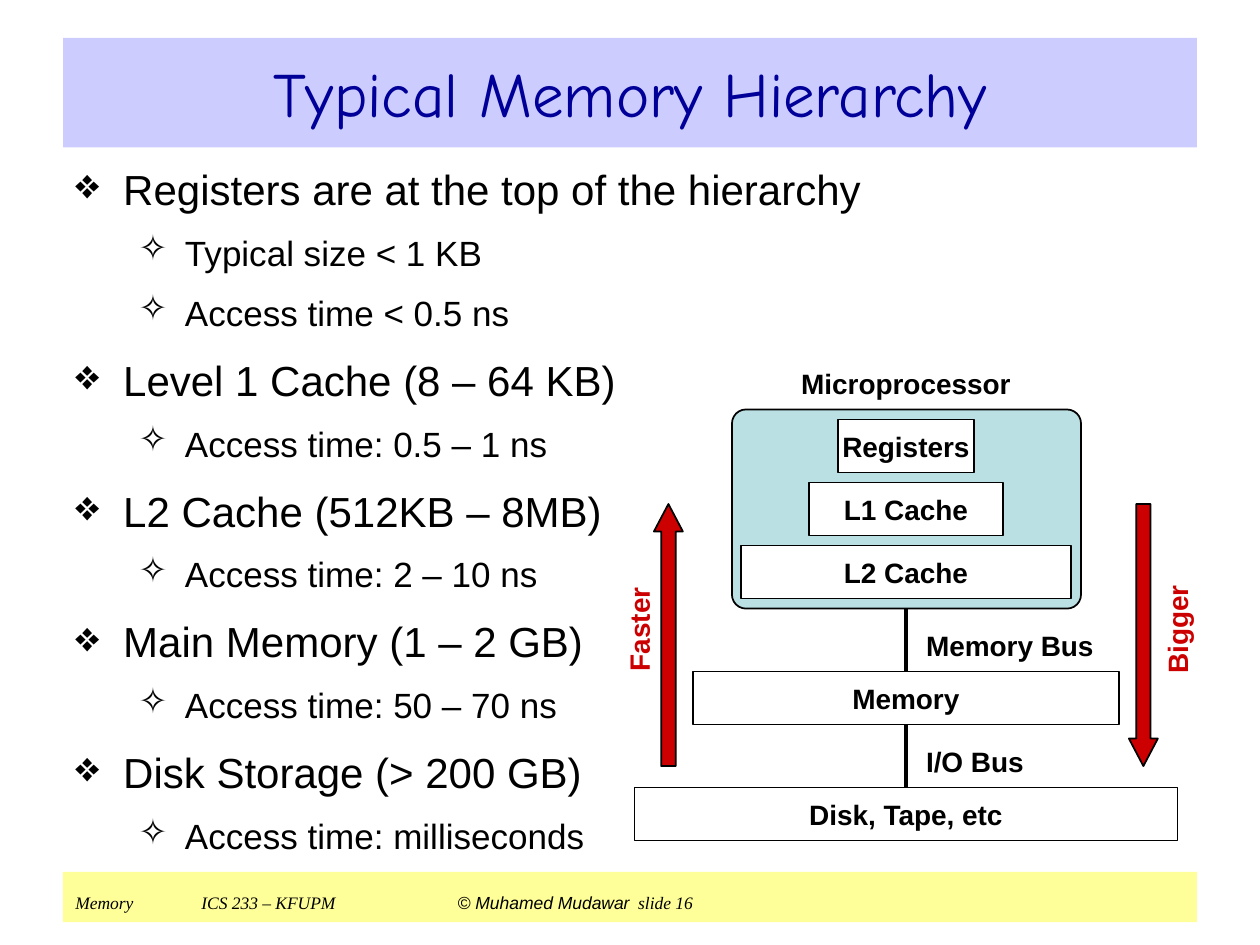
from lxml.etree import SubElement
from pptx import Presentation
from pptx.dml.color import RGBColor
from pptx.enum.shapes import MSO_CONNECTOR, MSO_SHAPE
from pptx.enum.text import MSO_ANCHOR, PP_ALIGN
from pptx.oxml.ns import qn
from pptx.util import Inches, Pt


def color(value):
    return RGBColor.from_string(value)


def add_text(p, text, font="Arial", size=16, fill="000000", bold=False, italic=False):
    r = p.add_run()
    r.text = text
    r.font.name = font
    r.font.size = Pt(size)
    r.font.color.rgb = color(fill)
    r.font.bold = bold
    r.font.italic = italic


class Deck:
    black = "000000"
    white = "FFFFFF"
    red = "CC0000"
    levels = [
        dict(char="❖", left=0.38, hang=0.38, size=24, before=12),
        dict(char="✧", left=0.87, hang=0.37, size=20, before=10),
    ]

    def __init__(self, prs):
        self.s = prs.slides.add_slide(prs.slide_layouts[5])

    def frame(self, sp, anchor=MSO_ANCHOR.MIDDLE, inset=(0, 0)):
        tf = sp.text_frame
        tf.word_wrap = True
        tf.vertical_anchor = anchor
        tf.margin_left = tf.margin_right = Inches(inset[0])
        tf.margin_top = tf.margin_bottom = Inches(inset[1])
        return tf

    def title(self, text, x, y, w, h):
        sp = self.s.shapes.title
        sp.left, sp.top, sp.width, sp.height = map(Inches, (x, y, w, h))
        sp.fill.solid()
        sp.fill.fore_color.rgb = color("CCCCFF")
        p = self.frame(sp, inset=(0.1, 0.05)).paragraphs[0]
        p.alignment = PP_ALIGN.CENTER
        add_text(p, text, font="Comic Neue", size=36, fill="000099")

    def shape(self, kind, x, y, w, h, fill, line=True):
        sp = self.s.shapes.add_shape(kind, *map(Inches, (x, y, w, h)))
        sp.shadow.inherit = False
        sp.fill.solid()
        sp.fill.fore_color.rgb = color(fill)
        if line:
            sp.line.color.rgb = color(self.black)
            sp.line.width = Pt(1)
        else:
            sp.line.fill.background()
        return sp

    def box(self, text, x, y, w, h, line=True):
        sp = self.shape(MSO_SHAPE.RECTANGLE, x, y, w, h, self.white, line)
        p = self.frame(sp).paragraphs[0]
        p.alignment = PP_ALIGN.CENTER
        add_text(p, text, bold=True)

    def label(self, text, x, y, w, h, fill=black, align=PP_ALIGN.LEFT, rotation=0):
        sp = self.s.shapes.add_textbox(*map(Inches, (x, y, w, h)))
        sp.rotation = rotation
        p = self.frame(sp).paragraphs[0]
        p.alignment = align
        add_text(p, text, fill=fill, bold=True)

    def bus(self, x, top, bottom):
        line = self.s.shapes.add_connector(
            MSO_CONNECTOR.STRAIGHT, *map(Inches, (x, top, x, bottom)))
        line.line.color.rgb = color(self.black)
        line.line.width = Pt(2.25)
        SubElement(line._element.spPr, qn("a:effectLst"))

    def arrow(self, kind, x, y, w, h):
        sp = self.shape(kind, x, y, w, h, self.red)
        sp.adjustments[0] = 0.5
        sp.adjustments[1] = 0.95

    def bullets(self, items, x, y, w, h):
        sp = self.s.shapes.add_textbox(*map(Inches, (x, y, w, h)))
        tf = self.frame(sp, MSO_ANCHOR.TOP, (0.1, 0.05))
        for i, (level, text) in enumerate(items):
            style = self.levels[level]
            p = tf.paragraphs[0] if i == 0 else tf.add_paragraph()
            p.level = level
            if i:
                p.space_before = Pt(style["before"])
            pPr = p._p.get_or_add_pPr()
            pPr.set("marL", str(Inches(style["left"])))
            pPr.set("indent", str(-Inches(style["hang"])))
            SubElement(pPr, qn("a:buFont"), typeface="OpenSymbol")
            SubElement(pPr, qn("a:buChar"), char=style["char"])
            add_text(p, text, size=style["size"])

    def footer(self, x, y, w, h):
        sp = self.shape(MSO_SHAPE.RECTANGLE, x, y, w, h, "FFFF99", line=False)
        p = self.frame(sp, MSO_ANCHOR.TOP, (0.1, 0.05)).paragraphs[0]
        p.alignment = PP_ALIGN.LEFT
        tabs = SubElement(p._p.get_or_add_pPr(), qn("a:tabLst"))
        for pos in (1, 3):
            SubElement(tabs, qn("a:tab"), pos=str(Inches(pos)), algn="l")
        serif = dict(font="Times New Roman", size=10, italic=True)
        add_text(p, "Memory\tICS 233 – KFUPM\t ", **serif)
        add_text(p, "© Muhamed Mudawar", size=10, italic=True)
        add_text(p, " ", size=18)
        add_text(p, "slide 16", **serif)


def main():
    prs = Presentation()
    prs.slide_width, prs.slide_height = Inches(10), Inches(7.5)
    deck = Deck(prs)
    deck.footer(0.5, 6.92, 9, 0.4)
    deck.title("Typical Memory Hierarchy", 0.5, 0.3, 9, 0.87)
    deck.bullets([
        (0, "Registers are at the top of the hierarchy"),
        (1, "Typical size < 1 KB"),
        (1, "Access time < 0.5 ns"),
        (0, "Level 1 Cache (8 – 64 KB)"),
        (1, "Access time: 0.5 – 1 ns"),
        (0, "L2 Cache (512KB – 8MB)"),
        (1, "Access time: 2 – 10 ns"),
        (0, "Main Memory (1 – 2 GB)"),
        (1, "Access time: 50 – 70 ns"),
        (0, "Disk Storage (> 200 GB)"),
        (1, "Access time: milliseconds"),
    ], 0.5, 1.25, 9, 5.63)

    center, height = 7.19, 0.42
    deck.box("Microprocessor", center - 1.31, 2.83, 2.62, height, line=False)
    chip = deck.shape(MSO_SHAPE.ROUNDED_RECTANGLE, 5.81, 3.25, 2.77, 1.58, "BBE0E3")
    chip.adjustments[0] = 0.07
    for text, top, width in [
        ("Registers", 3.33, 1.08),
        ("L1 Cache", 3.83, 1.54),
        ("L2 Cache", 4.33, 2.62),
        ("Memory", 5.33, 3.38),
        ("Disk, Tape, etc", 6.25, 4.31),
    ]:
        deck.box(text, center - width / 2, top, width, height)
    for text, top, bottom in [("Memory Bus", 4.83, 5.33), ("I/O Bus", 5.75, 6.25)]:
        deck.bus(center, top, bottom)
        deck.label(text, 7.35, top + 0.08, 1.47, height)
    for text, kind, arrow_x, label_x in [
        ("Faster", MSO_SHAPE.UP_ARROW, 5.19, 4.07),
        ("Bigger", MSO_SHAPE.DOWN_ARROW, 8.96, 8.34),
    ]:
        deck.arrow(kind, arrow_x, 4, 0.23, 2.08)
        deck.label(text, label_x, 4.81, 2, 0.37, deck.red, PP_ALIGN.CENTER, 270)
    prs.save("out.pptx")


if __name__ == "__main__":
    main()
